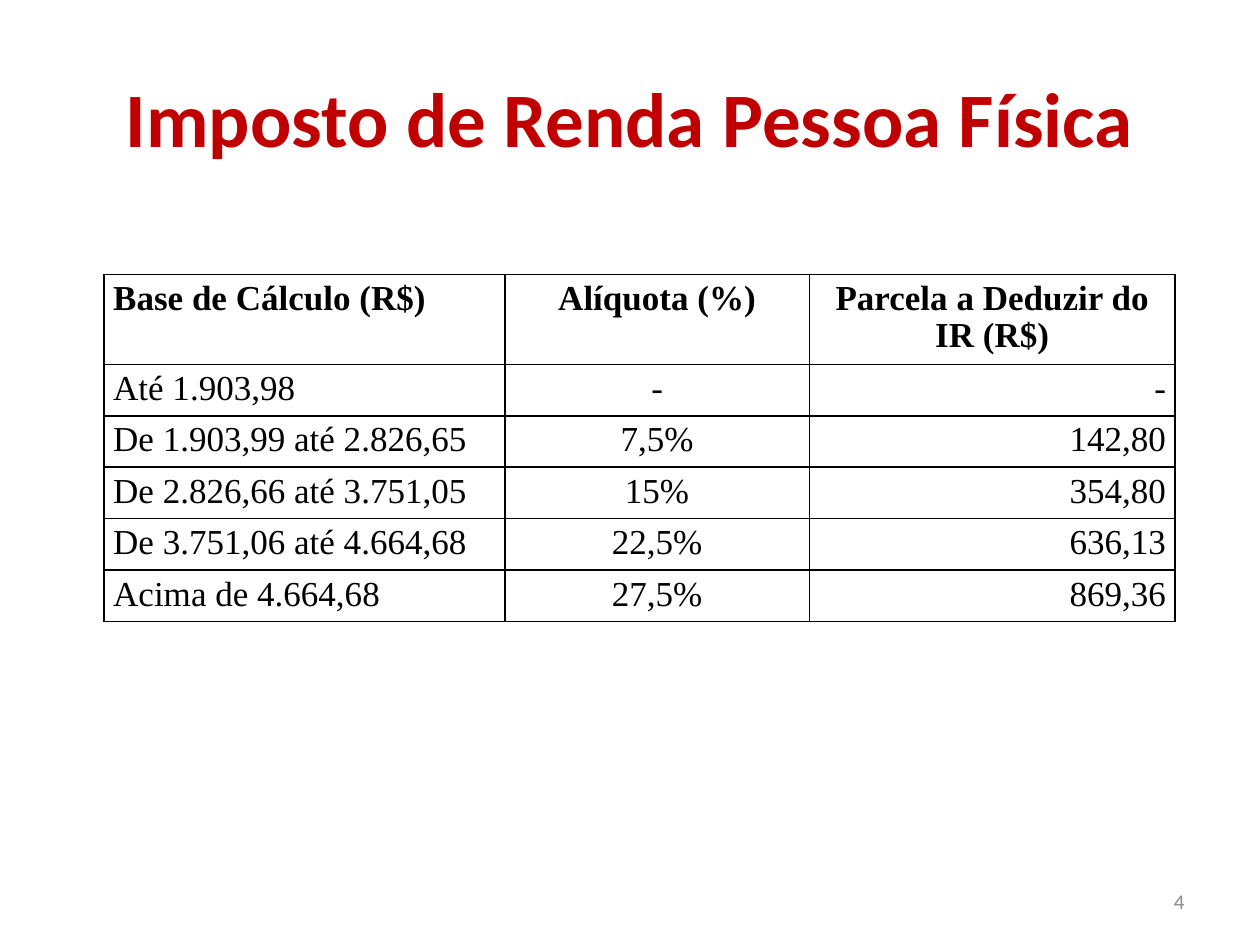
from lxml import etree
from pptx import Presentation
from pptx.dml.color import RGBColor
from pptx.enum import text as t
from pptx.oxml.ns import qn
from pptx.util import Pt

HUES = {"title": "C00000", "ink": "000000", "page": "8C8C8C"}
TITLE = "Imposto de Renda Pessoa Física"
PAGE = "4"
ROWS = [
    ("Base de Cálculo (R$)", "Alíquota (%)", "Parcela a Deduzir do IR (R$)"),
    ("Até 1.903,98", "-", "-"),
    ("De 1.903,99 até 2.826,65", "7,5%", "142,80"),
    ("De 2.826,66 até 3.751,05", "15%", "354,80"),
    ("De 3.751,06 até 4.664,68", "22,5%", "636,13"),
    ("Acima de 4.664,68", "27,5%", "869,36"),
]
WIDTHS = (229, 174, 209)
HEAD, ROW = 51.4, 29.4
LEFT, CENTER, RIGHT = t.PP_ALIGN.LEFT, t.PP_ALIGN.CENTER, t.PP_ALIGN.RIGHT


def style(par, face, size, hue, align, bold=False):
    par.alignment = align
    for run in par.runs:
        font = run.font
        font.name, font.size, font.bold = face, Pt(size), bold
        font.color.rgb = RGBColor.from_string(HUES[hue])


def label(slide, words, box, size, hue, align, bold=False):
    frame = slide.shapes.add_textbox(*map(Pt, box)).text_frame
    frame.word_wrap = True
    frame.vertical_anchor = t.MSO_ANCHOR.MIDDLE
    frame.text = words
    style(frame.paragraphs[0], "Calibri", size, hue, align, bold)


def border(cell):
    props = cell._tc.get_or_add_tcPr()
    for spot, side in enumerate(("lnL", "lnR", "lnT", "lnB")):
        line = etree.Element(qn("a:" + side), w=str(Pt(1)))
        fill = etree.SubElement(line, qn("a:solidFill"))
        etree.SubElement(fill, qn("a:srgbClr"), val=HUES["ink"])
        props.insert(spot, line)


def grid(slide):
    high = HEAD + ROW * (len(ROWS) - 1)
    table = slide.shapes.add_table(
        len(ROWS), len(WIDTHS), Pt(59.5), Pt(156.8), Pt(sum(WIDTHS)), Pt(high)
    ).table
    table.horz_banding = False
    for col, wide in zip(table.columns, WIDTHS):
        col.width = Pt(wide)
    for r, row in enumerate(ROWS):
        table.rows[r].height = Pt(ROW if r else HEAD)
        for c, words in enumerate(row):
            cell = table.cell(r, c)
            cell.text = words
            cell.margin_left = cell.margin_right = Pt(5.2)
            cell.margin_top = cell.margin_bottom = Pt(3.6)
            cell.fill.background()
            border(cell)
            par = cell.text_frame.paragraphs[0]
            par.line_spacing = 0.96
            align = (LEFT, CENTER, RIGHT if r else CENTER)[c]
            style(par, "Times New Roman", 20, "ink", align, r == 0)


def main():
    deck = Presentation()
    deck.slide_width, deck.slide_height = Pt(720), Pt(540)
    slide = deck.slides.add_slide(deck.slide_layouts[5])
    head = slide.shapes.title
    head.left, head.top, head.width, head.height = map(Pt, (36, 21.6, 648, 90))
    head.text_frame.text = TITLE
    head.text_frame.vertical_anchor = t.MSO_ANCHOR.MIDDLE
    style(head.text_frame.paragraphs[0], "Calibri", 44, "title", CENTER, True)
    grid(slide)
    label(slide, PAGE, (516, 500.5, 168, 28.8), 12, "page", RIGHT)
    deck.save("out.pptx")


if __name__ == "__main__":
    main()
